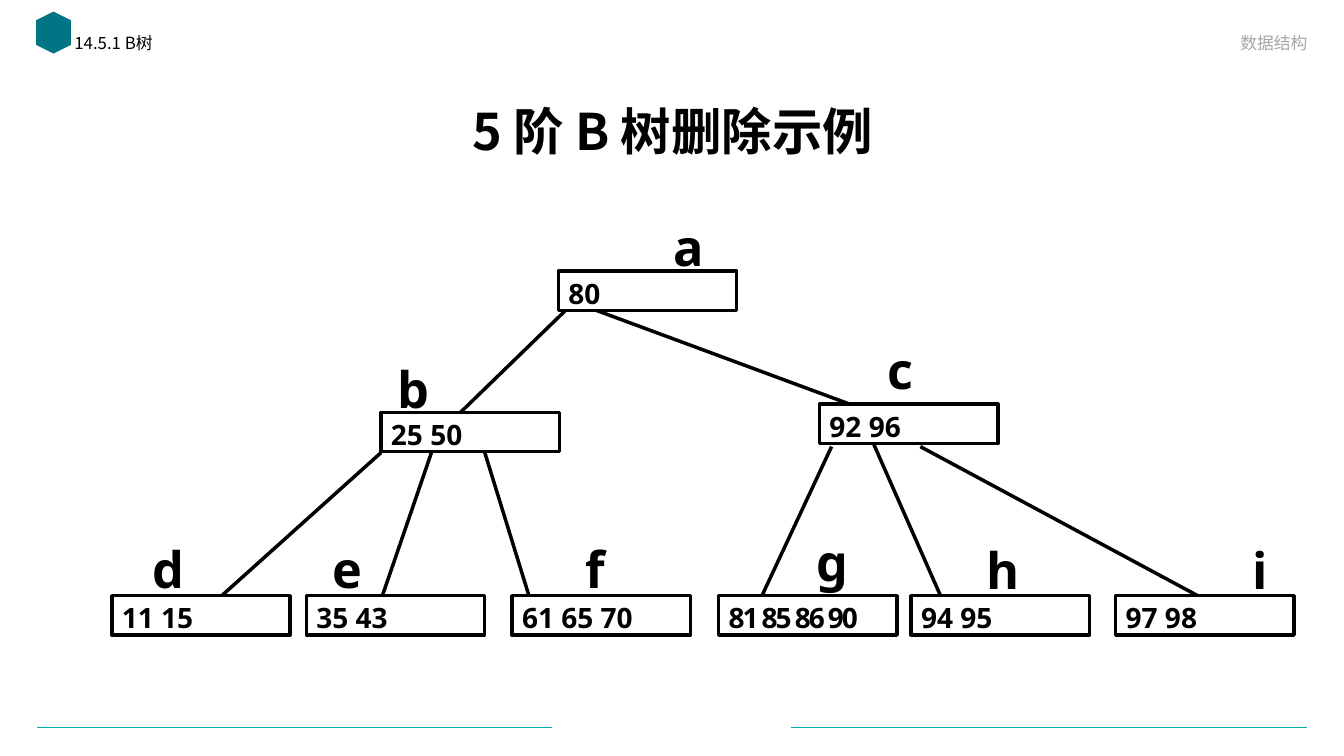
from lxml import etree
from pptx import Presentation
from pptx.dml.color import RGBColor
from pptx.enum.shapes import MSO_CONNECTOR, MSO_SHAPE
from pptx.enum.text import MSO_ANCHOR, MSO_AUTO_SIZE, PP_ALIGN
from pptx.oxml.ns import qn
from pptx.util import Pt

STRAIGHT = MSO_CONNECTOR.STRAIGHT
RECTANGLE, HEXAGON = MSO_SHAPE.RECTANGLE, MSO_SHAPE.HEXAGON
TOP, MIDDLE, BOTTOM = MSO_ANCHOR.TOP, MSO_ANCHOR.MIDDLE, MSO_ANCHOR.BOTTOM
LEFT, CENTER, RIGHT = PP_ALIGN.LEFT, PP_ALIGN.CENTER, PP_ALIGN.RIGHT
NO_AUTOFIT = MSO_AUTO_SIZE.NONE

COLORS = {"ink": "000000", "paper": "FFFFFF", "gray": "A6A6A6", "teal": "00ABA5", "deep": "007684"}
LATIN, CHINESE = "Noto Sans", "Noto Sans CJK SC"
NODE_WIDTH, NODE_HEIGHT = 127.4, 28.1
LEAF_TOP = 425.5

NODES = {
    "a": ("80", (398.9, 193.7), (473.8, 150.5)),
    "b": ("25 50", (272.2, 294.5), (276.5, 252)),
    "c": ("92 96", (585.4, 288.7), (627.1, 239)),
    "d": ("11 15", (79.9, LEAF_TOP), (102.2, 380.9)),
    "e": ("35 43", (218.9, LEAF_TOP), (230.4, 380.9)),
    "f": ("61 65 70", (365.8, LEAF_TOP), (411.1, 380.9)),
    "g": ("81 85 86 90", (513.4, LEAF_TOP), (576, 375.8)),
    "h": ("94 95", (650.9, LEAF_TOP), (688.3, 381.6)),
    "i": ("97 98", (797, LEAF_TOP), (887.8, 381.6)),
}
NAME_INDENTS = {"h": 9.4}
KEY_SPACING = {"g": -1.5}

EDGES = [
    ((403.9, 221.8), (329, 294.5)),
    ((426.2, 221.8), (607, 288.7)),
    ((272.2, 323.3), (158.4, LEAF_TOP)),
    ((308.2, 323.3), (271.4, 430.6)),
    ((346.3, 323.3), (379.4, 430.6)),
    ((594, 319), (544.3, LEAF_TOP)),
    ((624.2, 317.5), (671.8, LEAF_TOP)),
    ((657.4, 319), (856.8, 426.2)),
]
FOOTER_RULES = [(26.6, 394.6), (565.2, 933.8)]


def assign(target, values):
    for name, value in values.items():
        setattr(target, name, value)


class SlideBuilder:
    def __init__(self, slide):
        self.slide = slide

    def color(self, name):
        return RGBColor.from_string(COLORS[name])

    def fill_text(self, shape, text, size, font=LATIN, color="ink", bold=True,
                  align=LEFT, anchor=TOP, line_spacing=1.0, spacing=0):
        frame = shape.text_frame
        assign(frame, {"word_wrap": True, "auto_size": NO_AUTOFIT, "vertical_anchor": anchor})
        paragraph = frame.paragraphs[0]
        assign(paragraph, {"alignment": align, "line_spacing": line_spacing, "space_before": Pt(0)})
        run = paragraph.add_run()
        run.text = text
        run.font.color.rgb = self.color(color)
        assign(run.font, {"size": Pt(size), "bold": bold, "name": font})
        properties = run._r.get_or_add_rPr()
        etree.SubElement(properties, qn("a:ea")).set("typeface", font)
        if spacing:
            properties.set("spc", str(int(spacing * 100)))

    def title(self, text, left, top, width, height):
        shape = self.slide.shapes.title
        assign(shape, {"left": Pt(left), "top": Pt(top), "width": Pt(width), "height": Pt(height)})
        self.fill_text(shape, text, 36, CHINESE, align=CENTER, anchor=MIDDLE, line_spacing=0.9)

    def text(self, text, left, top, width, height, size, **style):
        shape = self.slide.shapes.add_textbox(Pt(left), Pt(top), Pt(width), Pt(height))
        self.fill_text(shape, text, size, **style)

    def shape(self, kind, left, top, width, height, fill):
        shape = self.slide.shapes.add_shape(kind, Pt(left), Pt(top), Pt(width), Pt(height))
        shape.shadow.inherit = False
        shape.fill.solid()
        shape.fill.fore_color.rgb = self.color(fill)
        return shape

    def emblem(self, left, top, width, height):
        shape = self.shape(HEXAGON, left, top, width, height, "deep")
        shape.line.fill.background()
        shape.rotation = 90

    def node(self, keys, left, top, spacing):
        shape = self.shape(RECTANGLE, left, top, NODE_WIDTH, NODE_HEIGHT, "paper")
        shape.line.color.rgb = self.color("ink")
        shape.line.width = Pt(2.5)
        self.fill_text(shape, keys, 20, spacing=spacing)

    def line(self, start, end, color="ink", width=2.5):
        points = [Pt(value) for value in (*start, *end)]
        connector = self.slide.shapes.add_connector(STRAIGHT, *points)
        connector.line.color.rgb = self.color(color)
        connector.line.width = Pt(width)
        etree.SubElement(connector._element.spPr, qn("a:effectLst"))


def main():
    presentation = Presentation()
    assign(presentation, {"slide_width": Pt(960), "slide_height": Pt(540)})
    builder = SlideBuilder(presentation.slides.add_slide(presentation.slide_layouts[5]))

    for left, right in FOOTER_RULES:
        builder.line((left, 519.8), (right, 519.8), "teal", 0.5)
    builder.emblem(23.2, 10.8, 30, 25)
    builder.text("14.5.1 B树", 46.1, 21.6, 383, 25.9, 12, font=CHINESE, bold=False, line_spacing=0.9)
    builder.text("数据结构", 535, 15.8, 406, 25.2, 12, font=CHINESE, color="gray",
                 bold=False, align=RIGHT, anchor=BOTTOM)
    builder.title("5 阶 B 树删除示例", 171.4, 64.1, 617.8, 63.4)

    for start, end in EDGES:
        builder.line(start, end)
    for name, (keys, position, name_position) in NODES.items():
        left, top = name_position
        builder.text(name, left + NAME_INDENTS.get(name, 0), top, 54, 51.1, 36)
        builder.node(keys, *position, KEY_SPACING.get(name, 0))

    presentation.save("out.pptx")


if __name__ == "__main__":
    main()
